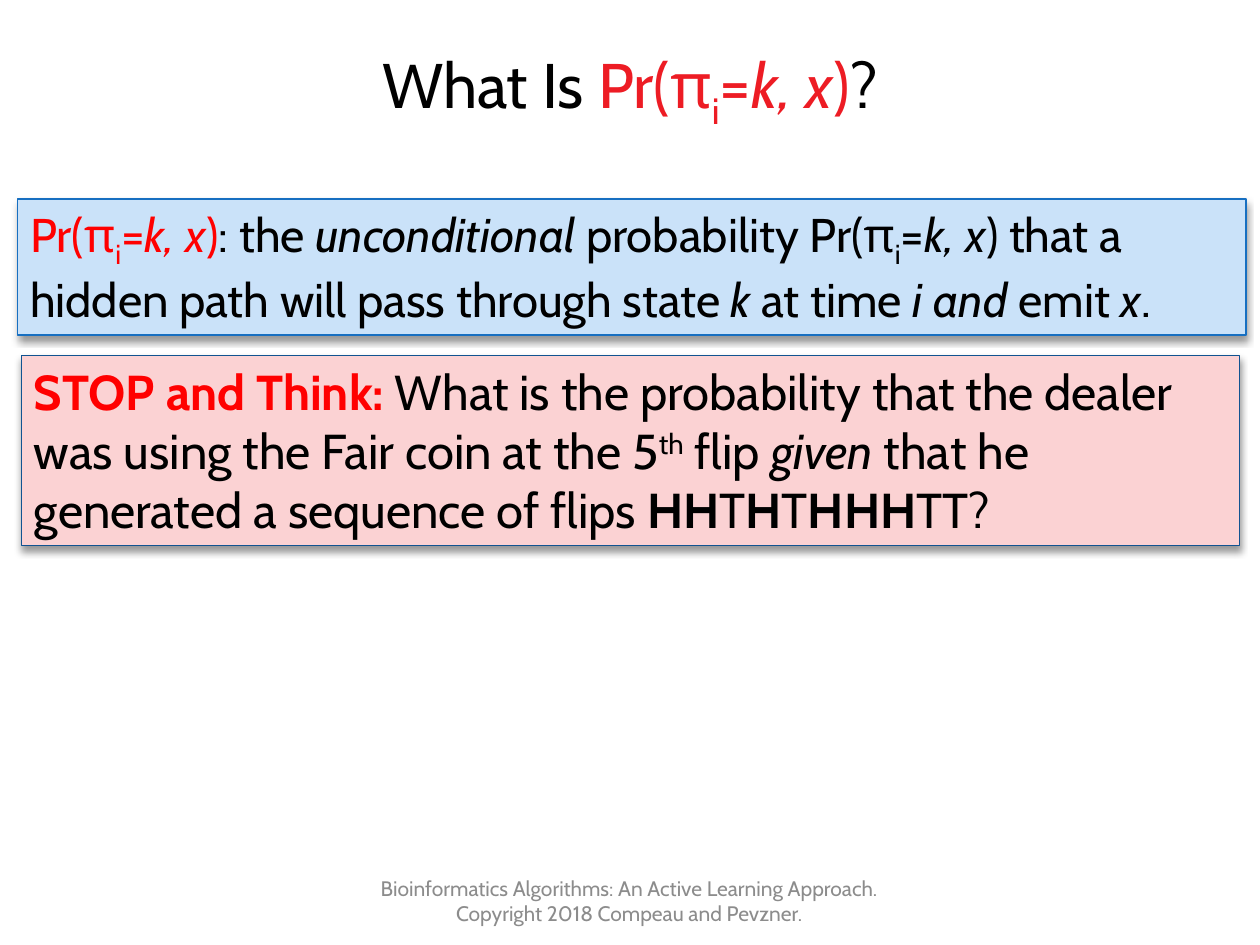
from dataclasses import dataclass
from typing import Optional

from lxml import etree
from pptx import Presentation
from pptx.dml.color import RGBColor
from pptx.enum import shapes, text
from pptx.oxml import ns
from pptx.util import Inches, Pt

FONT = "Cabin"
BLACK, RED, TITLE_RED, GRAY = "000000", "FF0000", "ED1C24", "8C8C8C"
SUBSCRIPT, SUPERSCRIPT = -25, 30


@dataclass
class Span:
    text: str
    color: str = BLACK
    bold: bool = False
    italic: bool = False
    baseline: int = 0


@dataclass
class Block:
    left: float
    top: float
    width: float
    height: float
    size: float
    spans: list[Span]
    fill: Optional[str] = None
    line: Optional[str] = None
    centered: bool = False


def rgb(value: str) -> RGBColor:
    return RGBColor.from_string(value)


def joint_probability(color: str) -> list[Span]:
    """The formula Pr(π_i=k, x) in one colour."""
    return [
        Span("Pr(π", color),
        Span("i", color, baseline=SUBSCRIPT),
        Span("=", color),
        Span("k, x", color, italic=True),
        Span(")", color),
    ]


def add_shadow(panel) -> None:
    """Soft black shadow falling straight down."""
    panel.shadow.inherit = False
    effects = panel._element.spPr.find(ns.qn("a:effectLst"))
    shadow = etree.SubElement(
        effects, ns.qn("a:outerShdw"), blurRad=str(Pt(4)), dist=str(Pt(3)),
        dir=str(90 * 60000), rotWithShape="0")
    color = etree.SubElement(shadow, ns.qn("a:srgbClr"), val=BLACK)
    etree.SubElement(color, ns.qn("a:alpha"), val="40000")


def add_block(slide, block: Block) -> None:
    place = [Inches(v) for v in (block.left, block.top, block.width, block.height)]
    if block.fill:
        holder = slide.shapes.add_shape(shapes.MSO_SHAPE.RECTANGLE, *place)
        holder.fill.solid()
        holder.fill.fore_color.rgb = rgb(block.fill)
        holder.line.color.rgb = rgb(block.line)
        holder.line.width = Pt(0.75)
        add_shadow(holder)
    else:
        holder = slide.shapes.add_textbox(*place)

    frame = holder.text_frame
    frame.word_wrap = True
    frame.vertical_anchor = (
        text.MSO_ANCHOR.MIDDLE if block.centered else text.MSO_ANCHOR.TOP)
    paragraph = frame.paragraphs[0]
    paragraph.alignment = (
        text.PP_ALIGN.CENTER if block.centered else text.PP_ALIGN.LEFT)
    for span in block.spans:
        run = paragraph.add_run()
        run.text = span.text
        run.font.name = FONT
        run.font.size = Pt(block.size)
        run.font.bold = span.bold
        run.font.italic = span.italic
        run.font.color.rgb = rgb(span.color)
        if span.baseline:
            run._r.get_or_add_rPr().set("baseline", str(span.baseline * 1000))


title = Block(0, 0.08, 10, 1.25, 36, [
    Span("What Is "), *joint_probability(TITLE_RED), Span("?"),
], centered=True)

# Heads are bold in the flip sequence, tails are regular
flips = [Span("HH", bold=True), Span("T"), Span("H", bold=True), Span("T"),
         Span("HHH", bold=True), Span("TT?")]
question = Block(0.17, 2.82, 9.67, 1.51, 28, [
    Span("STOP and Think: ", RED, bold=True),
    Span("What is the probability that the dealer was using the Fair coin at the 5"),
    Span("th", baseline=SUPERSCRIPT),
    Span(" flip "),
    Span("given", italic=True),
    Span(" that he generated a sequence of flips "),
    *flips,
], fill="FBD2D3", line="115391")

definition = Block(0.14, 1.58, 9.75, 1.08, 27, [
    *joint_probability(RED),
    Span(": the "),
    Span("unconditional ", italic=True),
    Span("probability "),
    *joint_probability(BLACK),
    Span(" that a hidden path will pass through state "),
    Span("k", italic=True),
    Span(" at time "),
    Span("i and", italic=True),
    Span(" emit "),
    Span("x", italic=True),
    Span("."),
], fill="CAE2F9", line="176FC1")

footer = Block(2.83, 6.95, 4.33, 0.4, 12, [
    Span("Bioinformatics Algorithms: An Active Learning Approach. "
         "Copyright 2018 Compeau and Pevzner.", GRAY),
], centered=True)


def main() -> None:
    deck = Presentation()
    deck.slide_width, deck.slide_height = Inches(10), Inches(7.5)
    slide = deck.slides.add_slide(deck.slide_layouts[6])
    for block in (title, question, definition, footer):
        add_block(slide, block)
    deck.save("out.pptx")


if __name__ == "__main__":
    main()
